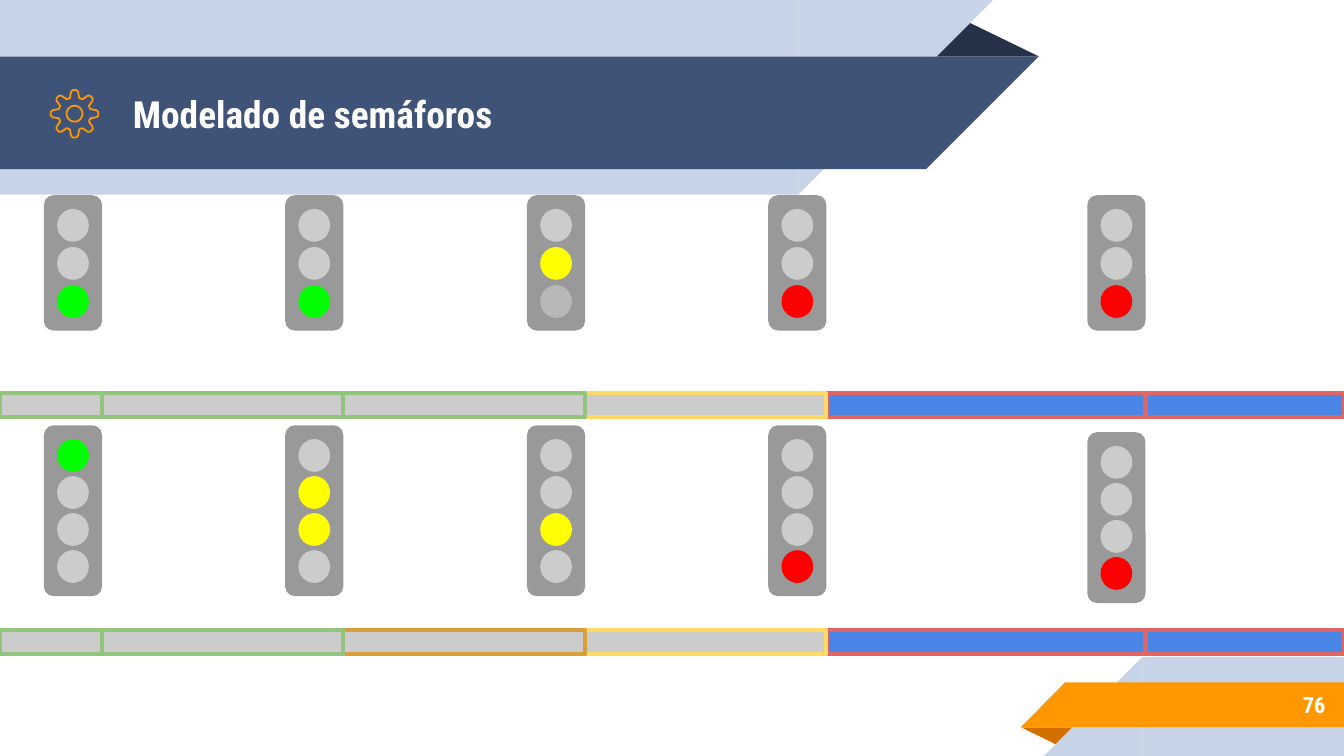
import math

import pptx
import pptx.dml.color
import pptx.enum.shapes
import pptx.enum.text
import pptx.util

Cm = pptx.util.Cm
RGBColor = pptx.dml.color.RGBColor
MSO_SHAPE = pptx.enum.shapes.MSO_SHAPE
PP_ALIGN = pptx.enum.text.PP_ALIGN

FONT = "Roboto Condensed"
WHITE = RGBColor(0xFF, 0xFF, 0xFF)
NAVY = RGBColor(0x3F, 0x53, 0x78)
DARK_NAVY = RGBColor(0x26, 0x32, 0x48)
PALE_BLUE = RGBColor(0xC7, 0xD3, 0xE6)
ORANGE = RGBColor(0xFF, 0x98, 0x00)
DARK_ORANGE = RGBColor(0xD2, 0x6F, 0x00)
HOUSING = RGBColor(0x99, 0x99, 0x99)
OFF = RGBColor(0xCC, 0xCC, 0xCC)
DIM = RGBColor(0xB7, 0xB7, 0xB7)
GREEN = RGBColor(0x00, 0xFF, 0x00)
YELLOW = RGBColor(0xFF, 0xFF, 0x00)
RED = RGBColor(0xFF, 0x00, 0x00)
BLUE = RGBColor(0x4A, 0x86, 0xE8)
EDGE_GREEN = RGBColor(0x93, 0xC4, 0x7D)
EDGE_AMBER = RGBColor(0xD8, 0x9F, 0x39)
EDGE_YELLOW = RGBColor(0xFF, 0xD9, 0x66)
EDGE_RED = RGBColor(0xE0, 0x66, 0x66)


def add_block(shapes, kind, box, fill, line=None, flips=()):
    """Add a flat preset shape; box is left, top, width, height in cm."""
    s = shapes.add_shape(kind, *map(Cm, box))
    s.shadow.inherit = False
    s.fill.solid()
    s.fill.fore_color.rgb = fill
    if line is None:
        s.line.fill.background()
    else:
        s.line.color.rgb = line
        s.line.width = pptx.util.Pt(2.25)
    for flip in flips:
        s._element.spPr.xfrm.set(flip, "1")
    return s


def write_text(tf, text, *, size, align=PP_ALIGN.LEFT, color=WHITE, bold=True):
    tf.word_wrap = True
    tf.auto_size = pptx.enum.text.MSO_AUTO_SIZE.NONE
    tf.vertical_anchor = pptx.enum.text.MSO_ANCHOR.MIDDLE
    tf.margin_left = tf.margin_right = tf.margin_top = tf.margin_bottom = Cm(0.25)
    p = tf.paragraphs[0]
    p.alignment = align
    r = p.add_run()
    r.text = text
    r.font.name = FONT
    r.font.size = pptx.util.Pt(size)
    r.font.bold = bold
    r.font.color.rgb = color


prs = pptx.Presentation()
prs.slide_width, prs.slide_height = Cm(25.4), Cm(14.29)
slide = prs.slides.add_slide(prs.slide_layouts[5])

# Header and footer ribbons: a fold, then bands with a slanted end
RECT, SLANT, FOLD = MSO_SHAPE.RECTANGLE, MSO_SHAPE.RIGHT_TRIANGLE, MSO_SHAPE.ISOSCELES_TRIANGLE
header = [
    (FOLD, (17.48, 0.36, 2.16, 0.71), DARK_NAVY, ()),
    (RECT, (0, 0, 15.09, 3.68), PALE_BLUE, ()),
    (SLANT, (15.09, 0, 3.68, 3.68), PALE_BLUE, ("flipV",)),
    (RECT, (0, 1.07, 17.5, 2.13), NAVY, ()),
    (SLANT, (17.5, 1.07, 2.13, 2.13), NAVY, ("flipV",)),
]
footer = [
    (FOLD, (19.3, 13.75, 1.09, 0.36), DARK_ORANGE, ("flipH", "flipV")),
    (RECT, (21.59, 12.42, 3.81, 1.87), PALE_BLUE, ()),
    (SLANT, (19.73, 12.42, 1.86, 1.87), PALE_BLUE, ("flipH",)),
    (RECT, (20.13, 12.9, 5.27, 0.84), ORANGE, ()),
    (SLANT, (19.3, 12.9, 0.83, 0.84), ORANGE, ("flipH",)),
]
for ribbon in (header, footer):
    group = slide.shapes.add_group_shape()
    for kind, box, fill, flips in ribbon:
        s = add_block(group.shapes, kind, box, fill, flips=flips)
        if kind == FOLD:
            s.adjustments[0] = 0.324

# Title and page number, in front of the ribbons
title = slide.shapes.title
title.left, title.top, title.width, title.height = Cm(2.26), Cm(1.09), Cm(15.27), Cm(2.13)
write_text(title.text_frame, "Modelado de semáforos", size=20)
slide.shapes._spTree.append(title._element)
page = slide.shapes.add_textbox(Cm(21.16), Cm(12.88), Cm(4.14), Cm(0.89))
write_text(page.text_frame, "76", size=12, align=PP_ALIGN.RIGHT)

# Gear: eight teeth (radius in cm, angle from the tooth's axis) and a round hole
TOOTH = [(0.31, -16.5), (0.42, -9), (0.45, -4.5), (0.45, 4.5), (0.42, 9), (0.31, 16.5)]
rim = [(radius, 45 * tooth + angle) for tooth in range(8) for radius, angle in TOOTH]
hole = [(0.15, angle) for angle in range(0, 360, 15)]
outlines = [
    [(Cm(1.41 + r * math.cos(math.radians(a))), Cm(2.15 + r * math.sin(math.radians(a)))) for r, a in outline]
    for outline in (rim, hole)
]
builder = slide.shapes.build_freeform(*outlines[0][0])
builder.add_line_segments(outlines[0][1:], close=True)
builder.move_to(*outlines[1][0])
builder.add_line_segments(outlines[1][1:], close=True)
gear = builder.convert_to_shape()
gear.shadow.inherit = False
gear.fill.background()
gear.line.color.rgb = ORANGE
gear.line.width = pptx.util.Pt(0.96)

# Track sections; a signal stands at the end of each but the last
EDGES = [0, 1.93, 6.49, 11.06, 15.62, 21.65, 25.4]
SECTION_FILLS = [OFF] * 4 + [BLUE] * 2
tracks = [
    (7.43, [EDGE_GREEN, EDGE_GREEN, EDGE_GREEN, EDGE_YELLOW, EDGE_RED, EDGE_RED]),
    (11.91, [EDGE_GREEN, EDGE_GREEN, EDGE_AMBER, EDGE_YELLOW, EDGE_RED, EDGE_RED]),
]
for top, lines in tracks:
    for i in reversed(range(len(lines))):
        box = (EDGES[i], top, EDGES[i + 1] - EDGES[i], 0.45)
        add_block(slide.shapes, RECT, box, SECTION_FILLS[i], lines[i])

# Signals: tops, housing height, lamp pitch, lamps from top to bottom
signal_rows = [
    ([3.69] * 5, 2.56, 0.72, [
        (OFF, OFF, GREEN), (OFF, OFF, GREEN), (OFF, YELLOW, DIM), (OFF, OFF, RED), (OFF, OFF, RED)]),
    ([8.04] * 4 + [8.17], 3.23, 0.7, [
        (GREEN, OFF, OFF, OFF), (OFF, YELLOW, YELLOW, OFF), (OFF, OFF, YELLOW, OFF),
        (OFF, OFF, OFF, RED), (OFF, OFF, OFF, RED)]),
]
for tops, height, pitch, signals in signal_rows:
    for edge, top, lamps in zip(EDGES[1:], tops, signals):
        left = edge - 1.1
        add_block(slide.shapes, MSO_SHAPE.ROUNDED_RECTANGLE, (left, top, 1.1, height), HOUSING)
        for i, lamp in enumerate(lamps):
            box = (left + 0.25, top + 0.26 + i * pitch, 0.6, 0.62)
            add_block(slide.shapes, MSO_SHAPE.OVAL, box, lamp)

prs.save("out.pptx")
